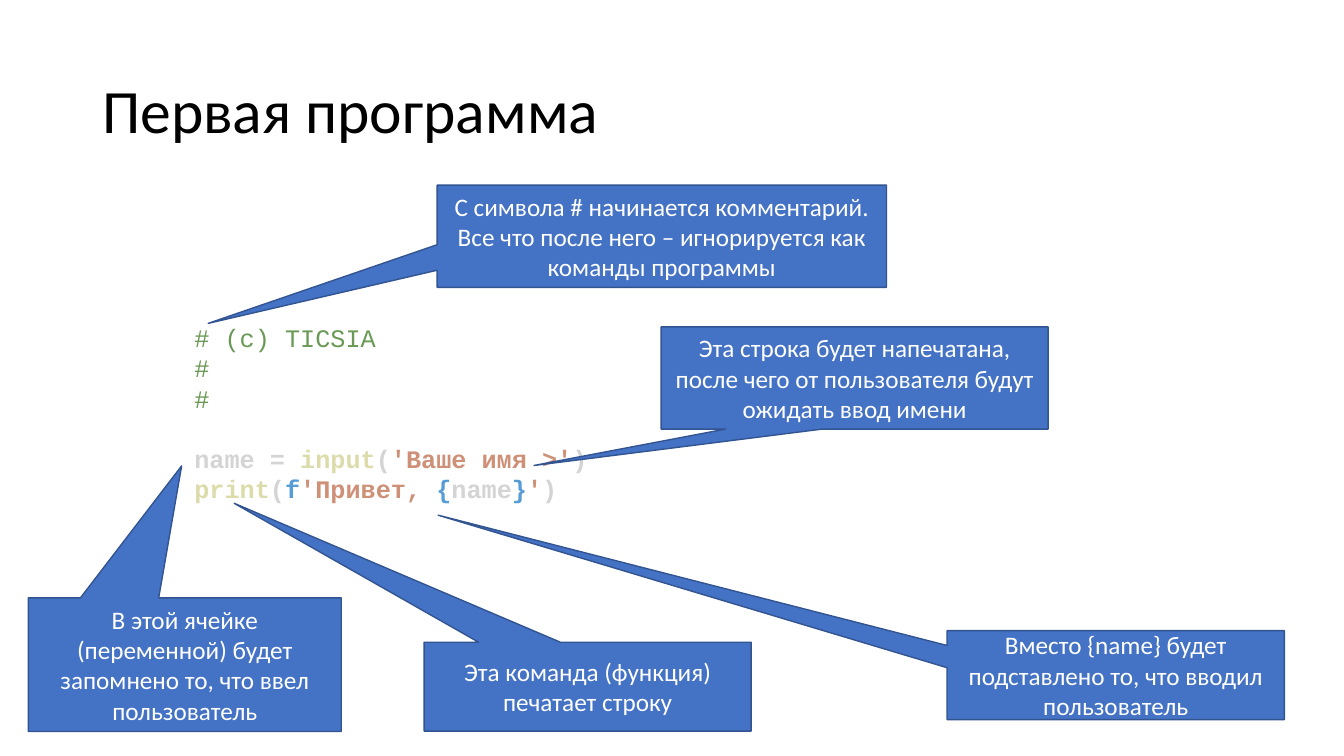
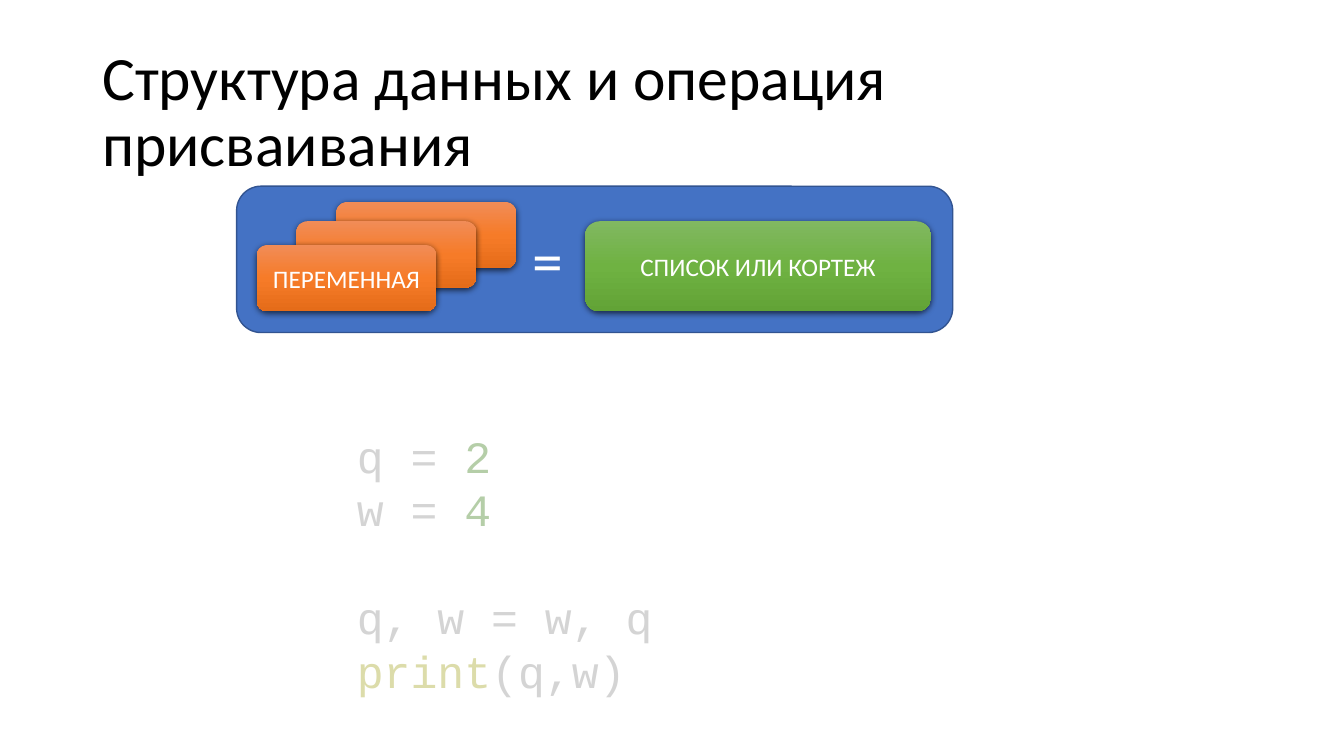
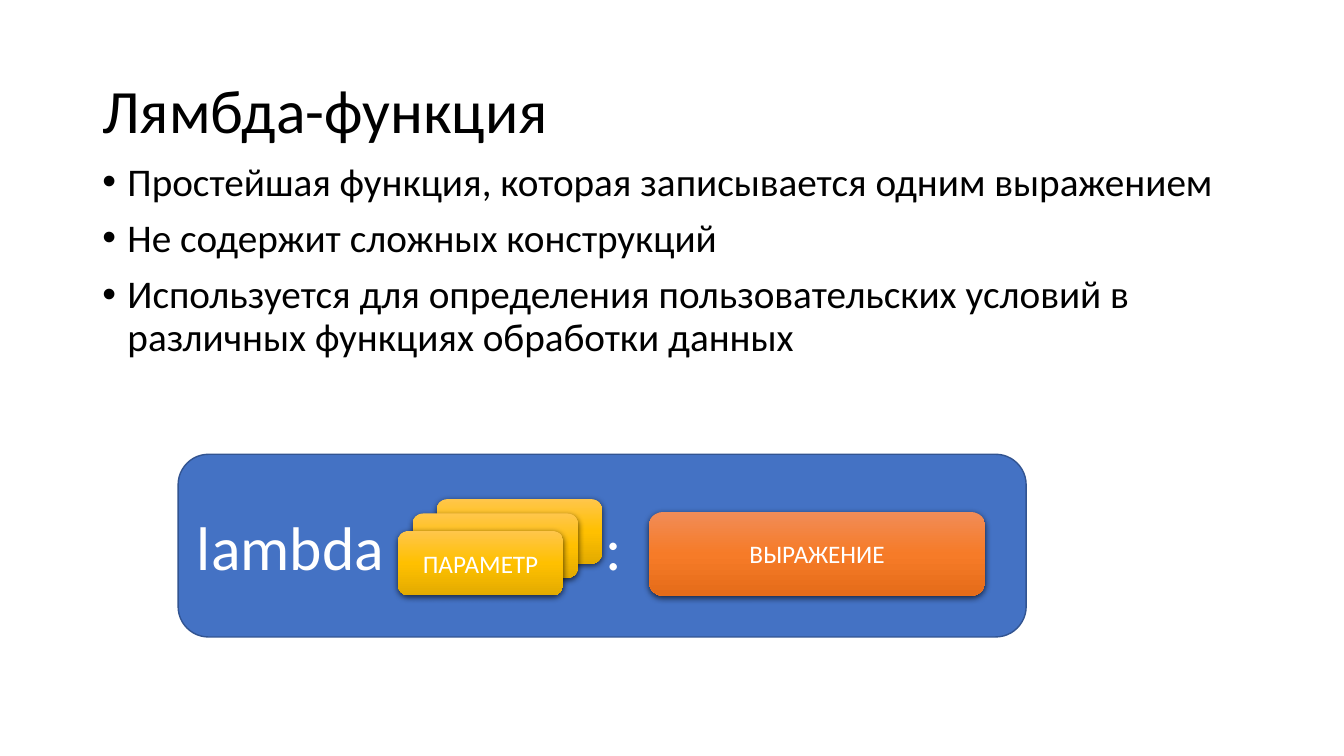
from copy import deepcopy
from dataclasses import dataclass

from lxml.etree import SubElement
from pptx import Presentation
from pptx.dml.color import RGBColor
from pptx.enum.shapes import MSO_SHAPE as SHAPE
from pptx.enum.text import MSO_ANCHOR as ANCHOR, PP_ALIGN as ALIGN
from pptx.oxml.ns import qn
from pptx.util import Pt


@dataclass(frozen=True)
class Theme:
    font: str = "Calibri"
    code_font: str = "Courier New"
    title_size: int = 44
    body_size: int = 28
    label_size: int = 18
    black: str = "000000"
    white: str = "FFFFFF"
    blue: str = "4472C4"
    outline: str = "325491"
    # Gradients from top to bottom
    orange: tuple = ("F18C57", "F67B28", "E56C19")
    green: tuple = ("81B861", "6FB242", "62A336")
    gold: tuple = ("FFC64B", "FFC000", "E3AB00")
    # Code colours
    plain: str = "D4D4D4"
    comment: str = "6A9955"
    function: str = "DCDCAA"
    string: str = "CE9178"
    keyword: str = "569CD6"
    number: str = "B5CEA8"


T = Theme()


def rgb(value):
    return RGBColor.from_string(value)


def add_run(p, text, size, color, font=T.font, bold=None):
    r = p.add_run()
    r.text = text
    r.font.name, r.font.size, r.font.bold = font, Pt(size), bold
    r.font.color.rgb = rgb(color)


def paragraphs(tf, count):
    return [tf.paragraphs[0]] + [tf.add_paragraph() for _ in range(count - 1)]


def add_box(slide, box, anchor=ANCHOR.TOP):
    tf = slide.shapes.add_textbox(*map(Pt, box)).text_frame
    tf.word_wrap = True
    tf.vertical_anchor = anchor
    return tf


def add_slide(prs, title):
    slide = prs.slides.add_slide(prs.slide_layouts[6])
    p = add_box(slide, (66, 28.75, 828, 104.4), ANCHOR.MIDDLE).paragraphs[0]
    p.line_spacing = 0.9
    add_run(p, title, T.title_size, T.black)
    return slide


def add_code(slide, box, size, lines, gap_before, bold=False):
    """Each line is a list of (text, colour); gap_before is the line after the gap."""
    tf = add_box(slide, box)
    for i, (p, line) in enumerate(zip(paragraphs(tf, len(lines)), lines)):
        p.line_spacing = Pt(size * 1.2)
        if i == gap_before:
            p.space_before = Pt(size * 1.2)
        for text, color in line:
            add_run(p, text, size, color, T.code_font,
                    bold and color != T.comment)


def add_bullets(slide, box, items):
    tf = add_box(slide, box)
    for i, (p, item) in enumerate(zip(paragraphs(tf, len(items)), items)):
        p.line_spacing = 0.9
        if i:
            p.space_before = Pt(10)
        pPr = p._p.get_or_add_pPr()
        pPr.set("marL", str(Pt(18)))
        pPr.set("indent", str(-Pt(18)))
        SubElement(pPr, qn("a:buFont"), typeface="Arial")
        SubElement(pPr, qn("a:buChar"), char="•")
        add_run(p, item, T.body_size, T.black)


def add_panel(shapes, kind, box):
    """Blue outlined shape; returns it with its first paragraph."""
    sp = shapes.add_shape(kind, *map(Pt, box))
    sp.shadow.inherit = False
    sp.fill.solid()
    sp.fill.fore_color.rgb = rgb(T.blue)
    sp.line.color.rgb = rgb(T.outline)
    sp.line.width = Pt(1)
    tf = sp.text_frame
    tf.word_wrap = True
    tf.vertical_anchor = ANCHOR.MIDDLE
    return sp, tf.paragraphs[0]


def add_callout(slide, box, tip, *lines):
    sp, p = add_panel(slide.shapes, SHAPE.RECTANGULAR_CALLOUT, box)
    x, y, w, h = box
    sp.adjustments[0] = (tip[0] - x - w / 2) / w
    sp.adjustments[1] = (tip[1] - y - h / 2) / h
    p.alignment = ALIGN.CENTER
    for i, line in enumerate(lines):
        if i:
            p.add_line_break()
        add_run(p, line, T.label_size, T.white)


def add_tile(shapes, box, colors, label=""):
    """Rounded tile with a vertical gradient and a soft shadow."""
    sp, p = add_panel(shapes, SHAPE.ROUNDED_RECTANGLE, box)
    sp.line.fill.background()
    # Gradient with three stops
    sp.fill.gradient()
    sp.fill.gradient_angle = 270
    gs_list = sp._element.spPr.find(qn("a:gradFill")).find(qn("a:gsLst"))
    gs_list.append(deepcopy(gs_list[0]))
    for stop, color, position in zip(sp.fill.gradient_stops, colors, (0, 0.5, 1)):
        stop.color.rgb = rgb(color)
        stop.position = position
    # Shadow
    effects = sp._element.spPr.find(qn("a:effectLst"))
    shadow = SubElement(effects, qn("a:outerShdw"), blurRad=str(Pt(4.5)),
                        dist=str(Pt(1.5)), dir="5400000", algn="ctr", rotWithShape="0")
    color = SubElement(shadow, qn("a:srgbClr"), val=T.black)
    SubElement(color, qn("a:alpha"), val="63000")
    if label:
        p.alignment = ALIGN.CENTER
        add_run(p, label, T.label_size, T.white)


def add_stack(shapes, corners, size, colors, label):
    """Overlapping tiles; only the front one, which is last, has a label."""
    for corner in corners:
        add_tile(shapes, (*corner, *size), colors,
                 label if corner == corners[-1] else "")


def first_program(prs):
    slide = add_slide(prs, "Первая программа")
    add_code(slide, (131.75, 226.8, 321, 138.25), 18, [
        [("# (c) TICSIA", T.comment)],
        [("#", T.comment)],
        [("#", T.comment)],
        [("name = ", T.plain), ("input", T.function), ("(", T.plain),
         ("'Ваше имя >'", T.string), (")", T.plain)],
        [("print", T.function), ("(", T.plain), ("f", T.keyword),
         ("'Привет, ", T.string), ("{", T.keyword), ("name", T.plain),
         ("}", T.keyword), ("'", T.string), (")", T.plain)],
    ], gap_before=3, bold=True)
    # Callouts: box, tip, text
    add_callout(slide, (472.25, 233.5, 276.5, 73), (381.5, 332.5),
                "Эта строка будет напечатана, после чего от пользователя "
                "будут ожидать ввод имени")
    add_callout(slide, (20.25, 427, 223.5, 95.5), (129.75, 332.75),
                "В этой ячейке (переменной) будет запомнено то, "
                "что ввел пользователь")
    add_callout(slide, (303, 458.75, 233.5, 63.5), (167.25, 359.5),
                "Эта команда (функция) печатает строку")
    add_callout(slide, (676.5, 450.5, 241, 63.5), (313, 368),
                "Вместо {name} будет подставлено то, что вводил пользователь")
    add_callout(slide, (312.25, 132.25, 321, 73), (148.75, 231),
                "С символа # начинается комментарий.",
                "Все что после него – игнорируется как команды программы")


def assignment(prs):
    slide = add_slide(prs, "Структура данных и операция присваивания")
    # Assignment diagram
    _, p = add_panel(slide.shapes, SHAPE.ROUNDED_RECTANGLE, (169, 133, 511.5, 104.5))
    p.alignment = ALIGN.LEFT
    p._p.get_or_add_pPr().set("marL", str(Pt(199)))
    add_run(p, "=", T.title_size, T.white)
    add_stack(slide.shapes, [(240.25, 144.25), (211.75, 158), (183.25, 175)],
              (128.5, 47.5), T.orange, "ПЕРЕМЕННАЯ")
    add_tile(slide.shapes, (417.75, 158, 247.5, 64.5), T.green, "СПИСОК ИЛИ КОРТЕЖ")
    add_code(slide, (247.75, 302.4, 480, 201), 32, [
        [("q = ", T.plain), ("2", T.number)],
        [("w = ", T.plain), ("4", T.number)],
        [("q, w = w, q", T.plain)],
        [("print", T.function), ("(q,w)", T.plain)],
    ], gap_before=2)


def lambda_function(prs):
    slide = add_slide(prs, "Лямбда-функция")
    add_bullets(slide, (66, 112.25, 828, 342.75), [
        "Простейшая функция, которая записывается одним выражением",
        "Не содержит сложных конструкций",
        "Используется для определения пользовательских условий "
        "в различных функциях обработки данных",
    ])
    # Lambda diagram, with a tab stop before the colon
    shapes = slide.shapes.add_group_shape().shapes
    _, p = add_panel(shapes, SHAPE.ROUNDED_RECTANGLE, (127.25, 324.5, 605.75, 130.5))
    p.alignment = ALIGN.LEFT
    tabs = SubElement(p._p.get_or_add_pPr(), qn("a:tabLst"))
    SubElement(tabs, qn("a:tab"), pos=str(Pt(292)), algn="l")
    add_run(p, "lambda\t:", T.title_size, T.white)
    add_stack(shapes, [(312, 356.5), (294.75, 366.75), (284.25, 379.25)],
              (118, 46), T.gold, "ПАРАМЕТР")
    add_tile(shapes, (463.5, 365.75, 240.25, 59.75), T.orange, "ВЫРАЖЕНИЕ")


def main():
    prs = Presentation()
    prs.slide_width, prs.slide_height = Pt(960), Pt(540)
    first_program(prs)
    assignment(prs)
    lambda_function(prs)
    prs.save("out.pptx")


if __name__ == "__main__":
    main()
